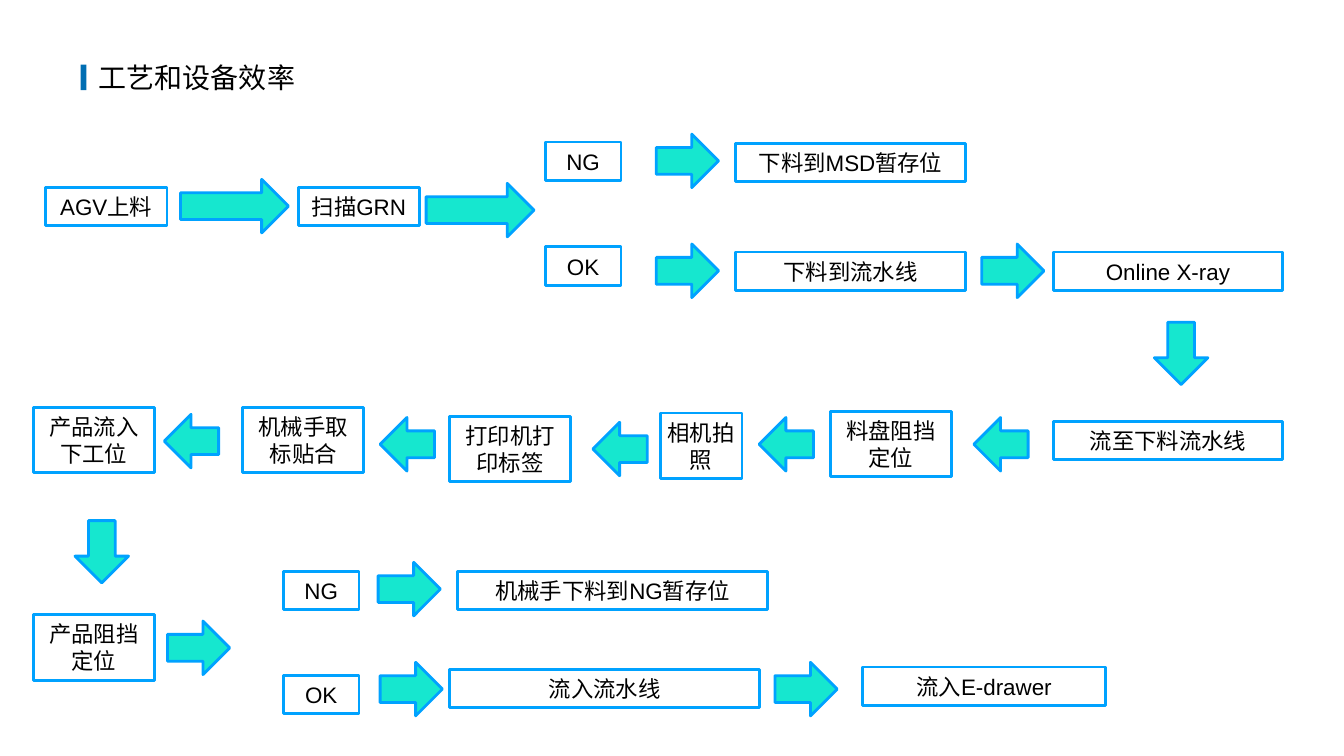
import pptx
import pptx.util
import pptx.dml.color
import pptx.enum.shapes
import pptx.enum.text

Cm = pptx.util.Cm
Pt = pptx.util.Pt
SHAPES = pptx.enum.shapes.MSO_SHAPE
COLOURS = {
    "background": "FFFFFF",
    "marker": "006EB3",
    "arrow": "16E7CF",
    "line": "00A2FF",
    "text": "000000",
}
FONT = "Arial"
INSET = Cm(0.15)
LOW, TALL = 0.97, 1.65
ARROW_HEIGHT = 1.35
SHORT, MEDIUM, LONG = 1.37, 1.57, 2.72
RIGHT, DOWN, LEFT = 0, 90, 180


def colour(name):
    return pptx.dml.color.RGBColor.from_string(COLOURS[name])


def format_text(frame, text, size, alignment):
    frame.text = text
    frame.word_wrap = True
    frame.auto_size = pptx.enum.text.MSO_AUTO_SIZE.NONE
    frame.vertical_anchor = pptx.enum.text.MSO_ANCHOR.MIDDLE
    frame.margin_left = frame.margin_right = INSET
    frame.margin_top = frame.margin_bottom = INSET
    para = frame.paragraphs[0]
    para.alignment = alignment
    para.font.name = FONT
    para.font.size = Pt(size)
    para.font.color.rgb = colour("text")


def add_block(page, preset, origin, place, fill):
    left, top, width, height = place
    block = page.shapes.add_shape(
        preset, Cm(origin[0] + left), Cm(origin[1] + top), Cm(width), Cm(height)
    )
    block.shadow.inherit = False
    block.fill.solid()
    block.fill.fore_color.rgb = colour(fill)
    block.line.color.rgb = colour("line")
    block.line.width = Pt(2)
    return block


def add_steps(page, origin, steps):
    for text, left, top, width, height in steps:
        place = (left, top, width, height)
        box = add_block(page, SHAPES.RECTANGLE, origin, place, "background")
        format_text(box.text_frame, text, 16, pptx.enum.text.PP_ALIGN.CENTER)


def add_arrows(page, origin, arrows):
    for left, top, width, direction in arrows:
        place = (left, top, width, ARROW_HEIGHT)
        arrow = add_block(page, SHAPES.RIGHT_ARROW, origin, place, "arrow")
        arrow.rotation = direction


def add_heading(page, origin, text):
    marker = add_block(page, SHAPES.RECTANGLE, origin, (0, 0.26, 0.15, 0.64), "marker")
    marker.line.fill.background()
    title = page.shapes.title
    title.left, title.top = Cm(origin[0] + 0.31), Cm(origin[1])
    title.width, title.height = Cm(11.46), Cm(1.14)
    format_text(title.text_frame, text, 20, pptx.enum.text.PP_ALIGN.LEFT)


def add_feeding(page, origin):
    add_arrows(page, origin, [
        (3.41, 1.14, LONG, RIGHT),
        (9.6, 1.24, LONG, RIGHT),
        (15.4, 0, MEDIUM, RIGHT),
        (15.4, 2.77, MEDIUM, RIGHT),
        (23.6, 2.77, MEDIUM, RIGHT),
    ])
    add_steps(page, origin, [
        ("AGV上料", 0, 1.34, 3.07, LOW),
        ("扫描GRN", 6.38, 1.34, 3.05, LOW),
        ("NG", 12.6, 0.2, 1.91, LOW),
        ("OK", 12.6, 2.84, 1.91, LOW),
        ("下料到MSD暂存位", 17.4, 0.23, 5.79, LOW),
        ("下料到流水线", 17.4, 2.97, 5.79, LOW),
        ("Online X-ray", 25.4, 2.97, 5.79, LOW),
    ])


def add_labelling(page, origin):
    add_arrows(page, origin, [
        (28.14, 0, MEDIUM, DOWN),
        (23.7, 2.29, SHORT, LEFT),
        (18.29, 2.29, SHORT, LEFT),
        (14.1, 2.41, SHORT, LEFT),
        (8.74, 2.29, SHORT, LEFT),
        (3.3, 2.21, SHORT, LEFT),
    ])
    add_steps(page, origin, [
        ("流至下料流水线", 25.7, 2.39, 5.79, LOW),
        ("料盘阻挡定位", 20.09, 2.13, 3.05, TALL),
        ("相机拍照", 15.8, 2.18, 2.06, TALL),
        ("打印机打印标签", 10.49, 2.26, 3.05, TALL),
        ("机械手取标贴合", 5.28, 2.03, 3.05, TALL),
        ("产品流入下工位", 0, 2.03, 3.05, TALL),
    ])


def add_sorting(page, origin):
    add_arrows(page, origin, [
        (0.94, 0, MEDIUM, DOWN),
        (3.38, 2.42, MEDIUM, RIGHT),
        (8.69, 0.94, MEDIUM, RIGHT),
        (8.74, 3.46, MEDIUM, RIGHT),
        (18.69, 3.46, MEDIUM, RIGHT),
    ])
    add_steps(page, origin, [
        ("产品阻挡定位", 0, 2.26, 3.05, TALL),
        ("NG", 6.3, 1.17, 1.91, LOW),
        ("OK", 6.3, 3.79, 1.91, LOW),
        ("机械手下料到NG暂存位", 10.69, 1.17, 7.82, LOW),
        ("流入流水线", 10.49, 3.64, 7.82, LOW),
        ("流入E-drawer", 20.9, 3.58, 6.12, LOW),
    ])


def main():
    deck = pptx.Presentation()
    deck.slide_width, deck.slide_height = Cm(33.87), Cm(19.05)
    page = deck.slides.add_slide(deck.slide_layouts.get_by_name("Title Only"))
    page.background.fill.solid()
    page.background.fill.fore_color.rgb = colour("background")
    add_heading(page, (2.03, 1.37), "工艺和设备效率")
    add_feeding(page, (1.14, 3.38))
    add_labelling(page, (0.84, 8.23))
    add_sorting(page, (0.84, 13.23))
    deck.save("out.pptx")


if __name__ == "__main__":
    main()
